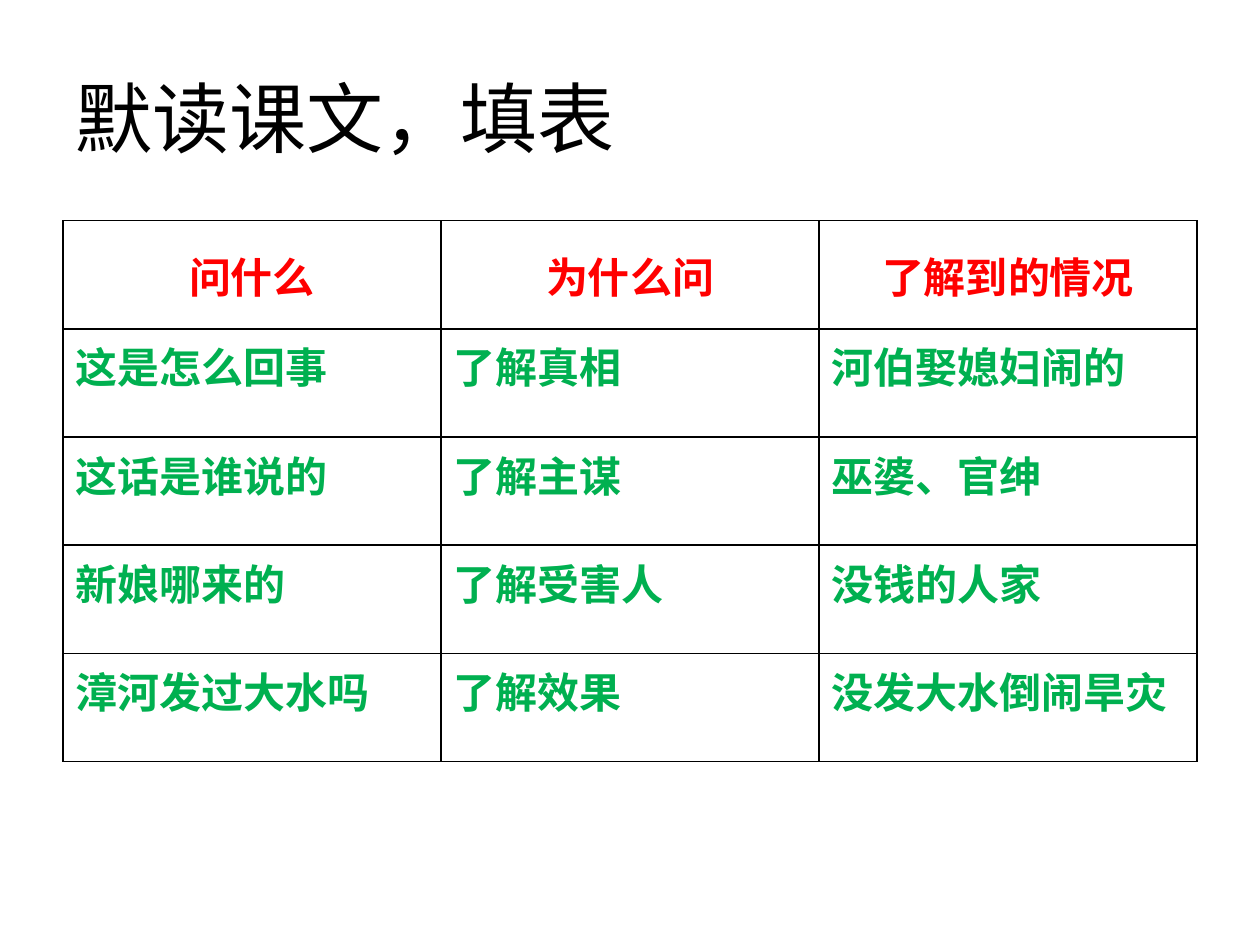
import pptx
import pptx.util
import pptx.dml.color
import pptx.enum.text
import pptx.oxml
import pptx.oxml.ns
import lxml.etree
from pptx.util import Cm

TITLE = "默读课文，填表"
HEADERS = ["问什么", "为什么问", "了解到的情况"]
ANSWERS = [
    ["这是怎么回事", "了解真相", "河伯娶媳妇闹的"],
    ["这话是谁说的", "了解主谋", "巫婆、官绅"],
    ["新娘哪来的", "了解受害人", "没钱的人家"],
    ["漳河发过大水吗", "了解效果", "没发大水倒闹旱灾"],
]
FONT = "Noto Sans CJK SC"
BLACK, RED, GREEN = "000000", "FF0000", "00B050"
LEFT, WIDTH = 1.27, 22.86
TABLE_TOP, ROW_HEIGHT = 4.45, 2.18

ALIGN = pptx.enum.text.PP_ALIGN
ANCHOR = pptx.enum.text.MSO_ANCHOR


def color(value):
    return pptx.dml.color.RGBColor.from_string(value)


def write(frame, text, size, fill, bold=False, align=ALIGN.LEFT):
    para = frame.paragraphs[0]
    para.text = text
    para.alignment = align
    para.font.name = FONT
    para.font.size = pptx.util.Pt(size)
    para.font.bold = bold
    para.font.color.rgb = color(fill)
    latin = para._p.find(".//" + pptx.oxml.ns.qn("a:latin"))
    east_asian = lxml.etree.Element(pptx.oxml.ns.qn("a:ea"), typeface=FONT)
    latin.addnext(east_asian)


def add_borders(cell):
    properties = cell._tc.get_or_add_tcPr()
    for index, side in enumerate(["lnL", "lnR", "lnT", "lnB"]):
        line = pptx.oxml.parse_xml(
            f'<a:{side} {pptx.oxml.ns.nsdecls("a")} w="12700"><a:solidFill>'
            f'<a:srgbClr val="{BLACK}"/></a:solidFill></a:{side}>'
        )
        properties.insert(index, line)


def add_title(page):
    box = page.shapes.add_textbox(Cm(LEFT), Cm(0.76), Cm(WIDTH), Cm(3.18))
    frame = box.text_frame
    frame.word_wrap = True
    frame.vertical_anchor = ANCHOR.MIDDLE
    write(frame, TITLE, 44, BLACK)


def add_answer_table(page):
    rows = [HEADERS] + ANSWERS
    table = page.shapes.add_table(
        len(rows), len(HEADERS), Cm(LEFT), Cm(TABLE_TOP),
        Cm(WIDTH), Cm(ROW_HEIGHT * len(rows)),
    ).table
    for r, texts in enumerate(rows):
        for c, text in enumerate(texts):
            cell = table.cell(r, c)
            cell.fill.background()
            add_borders(cell)
            if r == 0:
                cell.vertical_anchor = ANCHOR.MIDDLE
                write(cell.text_frame, text, 24, RED, True, ALIGN.CENTER)
            else:
                write(cell.text_frame, text, 24, GREEN, True)


def main():
    deck = pptx.Presentation()
    deck.slide_width, deck.slide_height = Cm(25.4), Cm(19.05)
    page = deck.slides.add_slide(deck.slide_layouts[6])
    add_title(page)
    add_answer_table(page)
    deck.save("out.pptx")


if __name__ == "__main__":
    main()
